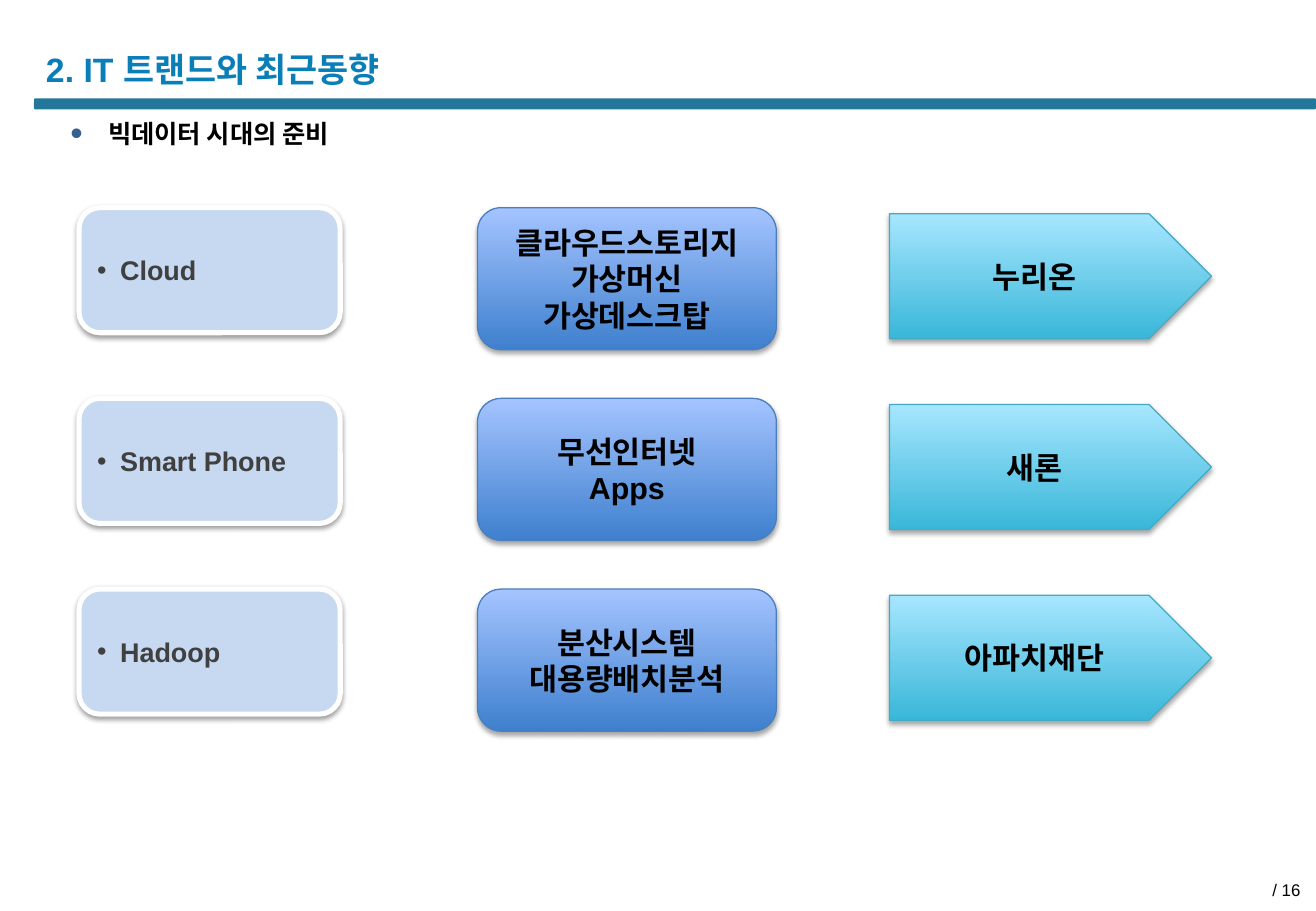
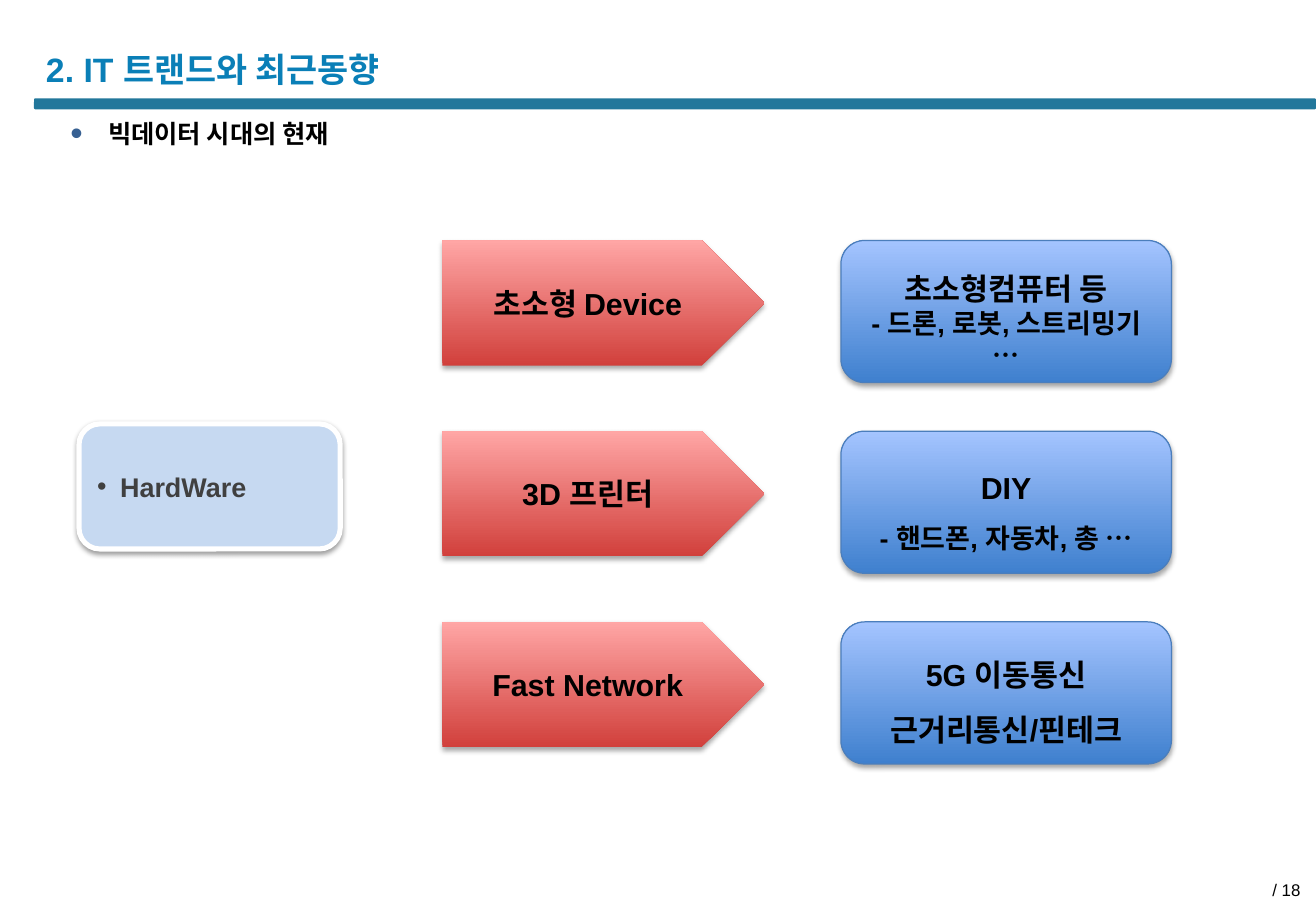
from dataclasses import dataclass

from lxml import etree
from pptx import Presentation
from pptx import util as u
from pptx.dml.color import RGBColor
from pptx.enum import shapes, text
from pptx.oxml.ns import qn


# Colours and type sizes
@dataclass(frozen=True)
class Theme:
    font: str = "Arial"
    title: str = "0A7FB7"
    bar: str = "22779B"
    bullet: str = "376092"
    ink: str = "000000"
    label: str = "404040"
    title_size: int = 20
    topic_size: int = 15
    body_size: int = 18
    small_size: int = 16
    footer_size: int = 10


THEME = Theme()
ROUND = shapes.MSO_SHAPE.ROUNDED_RECTANGLE
ARROW = shapes.MSO_SHAPE.PENTAGON
CENTER, LEFT, RIGHT = text.PP_ALIGN.CENTER, text.PP_ALIGN.LEFT, text.PP_ALIGN.RIGHT

# Box styles: fill is one colour or (bottom, top); shadow is (opacity %, distance pt)
STYLES = {
    "label": dict(shape=ROUND, fill=("C6D9F1",), line=("FFFFFF", 3), shadow=(38, 1.6)),
    "blue": dict(shape=ROUND, fill=("3F80CE", "A4C4FF"), line=("4B7EBC", 0.75), shadow=(35, 1.8)),
    "cyan": dict(shape=ARROW, fill=("39B7D8", "A7E6FF"), line=("46AAC5", 0.75), shadow=(35, 1.8)),
    "red": dict(shape=ARROW, fill=("D1403C", "FFA6A5"), line=None, shadow=(35, 1.8)),
}

# Content: a line is (text, size, line spacing)
WIDTH, HEIGHT = 10.83, 7.5
ROW_PITCH = 1.57
TITLE = "2. IT 트랜드와 최근동향"


def lines(*words, size=THEME.body_size, spacing=1):
    return [(word, size, spacing) for word in words]


def label(word):
    return lines(word, size=THEME.small_size)


# Each column: style, left, drop below the row top, width, height, {row: lines}
SLIDES = [
    dict(topic="빅데이터 시대의 준비", footer="/ 16", top=1.71, columns=[
        ("blue", 3.93, 0, 2.46, 1.17, {
            0: lines("클라우드스토리지", "가상머신", "가상데스크탑"),
            1: lines("무선인터넷", "Apps"),
            2: lines("분산시스템", "대용량배치분석")}),
        ("cyan", 7.32, 0.05, 2.65, 1.03, {
            0: lines("누리온"), 1: lines("새론"), 2: lines("아파치재단")}),
        ("label", 0.65, 0, 2.15, 1.03, {
            0: label("Cloud"), 1: label("Smart Phone"), 2: label("Hadoop")}),
    ]),
    dict(topic="빅데이터 시대의 현재", footer="/ 18", top=1.98, columns=[
        ("blue", 6.92, 0, 2.72, 1.17, {
            0: lines("초소형컴퓨터 등", spacing=1.5)
               + lines("- 드론, 로봇, 스트리밍기 …", size=THEME.small_size),
            1: lines("DIY", spacing=1.5)
               + lines("- 핸드폰, 자동차, 총 …", size=THEME.small_size, spacing=1.5),
            2: lines("5G 이동통신", "근거리통신/핀테크", spacing=1.5)}),
        ("red", 3.64, 0, 2.65, 1.03, {
            0: lines("초소형 Device"), 1: lines("3D 프린터"), 2: lines("Fast Network")}),
        ("label", 0.65, -0.06, 2.15, 1.03, {1: label("HardWare")}),
    ]),
]


def rgb(value):
    return RGBColor.from_string(value)


def inches(*values):
    return [u.Inches(value) for value in values]


def add_bullet(para, indent, colour=None, percent=100):
    props = para._p.get_or_add_pPr()
    props.set("marL", str(u.Inches(indent)))
    props.set("indent", str(-u.Inches(indent)))
    if colour:
        etree.SubElement(etree.SubElement(props, qn("a:buClr")), qn("a:srgbClr"), val=colour)
    etree.SubElement(props, qn("a:buSzPct"), val=str(percent * 1000))
    etree.SubElement(props, qn("a:buFont"), typeface=THEME.font)
    etree.SubElement(props, qn("a:buChar"), char="•")


def write(frame, content, colour, align=LEFT, bold=True, bullet=None):
    frame.word_wrap = True
    for index, (words, size, spacing) in enumerate(content):
        para = frame.add_paragraph() if index else frame.paragraphs[0]
        para.text = words
        para.alignment = align
        if spacing != 1:
            para.line_spacing = spacing
        if bullet:
            add_bullet(para, **bullet)
        for span in para.runs:
            span.font.name = THEME.font
            span.font.size = u.Pt(size)
            span.font.bold = bold
            span.font.color.rgb = rgb(colour)


def add_text(page, at, words, size, colour, anchor=text.MSO_ANCHOR.TOP, inset=True, **options):
    frame = page.shapes.add_textbox(*inches(*at)).text_frame
    frame.vertical_anchor = anchor
    if not inset:
        frame.margin_left = frame.margin_right = frame.margin_top = frame.margin_bottom = 0
    write(frame, [(words, size, 1)], colour, **options)


def add_shadow(box, opacity, distance):
    effects = box._element.spPr.find(qn("a:effectLst"))
    shadow = etree.SubElement(effects, qn("a:outerShdw"), blurRad=str(u.Pt(3.1)),
                              dist=str(u.Pt(distance)), dir="5400000", rotWithShape="0")
    tone = etree.SubElement(shadow, qn("a:srgbClr"), val=THEME.ink)
    etree.SubElement(tone, qn("a:alpha"), val=str(opacity * 1000))


def add_shape(page, at, shape, fill, line=None, shadow=None):
    box = page.shapes.add_shape(shape, *inches(*at))
    box.shadow.inherit = False
    if len(fill) == 1:
        box.fill.solid()
        box.fill.fore_color.rgb = rgb(fill[0])
    else:
        box.fill.gradient()
        box.fill.gradient_angle = 90
        for stop, colour in zip(box.fill.gradient_stops, fill):
            stop.color.rgb = rgb(colour)
    if line:
        box.line.color.rgb = rgb(line[0])
        box.line.width = u.Pt(line[1])
    else:
        box.line.fill.background()
    if shadow:
        add_shadow(box, *shadow)
    return box


def add_card(page, at, style, content):
    frame = add_shape(page, at, **STYLES[style]).text_frame
    frame.margin_top = frame.margin_bottom = 0
    frame.vertical_anchor = text.MSO_ANCHOR.MIDDLE
    if style == "label":
        write(frame, content, THEME.label, bullet=dict(indent=0.19))
    else:
        write(frame, content, THEME.ink, CENTER)


def add_frame(page, topic, footer):
    """Title bar, topic line and page number shared by all slides."""
    bar = add_shape(page, (0.28, 0.81, WIDTH - 0.28, 0.09), ROUND, (THEME.bar,))
    bar.adjustments[0] = 0.13
    add_text(page, (0.58, 0.97, 7.13, 0.25), topic, THEME.topic_size, THEME.ink, inset=False,
             bullet=dict(indent=0.31, colour=THEME.bullet, percent=140))
    add_text(page, (0.28, 0.33, 4.89, 0.47), TITLE, THEME.title_size, THEME.title,
             anchor=text.MSO_ANCHOR.MIDDLE)
    add_text(page, (8.27, 7.19, 2.53, 0.23), footer, THEME.footer_size, THEME.ink,
             align=RIGHT, bold=False)


def main():
    deck = Presentation()
    deck.slide_width, deck.slide_height = inches(WIDTH, HEIGHT)
    for content in SLIDES:
        page = deck.slides.add_slide(deck.slide_layouts[6])
        add_frame(page, content["topic"], content["footer"])
        for style, left, drop, width, height, cards in content["columns"]:
            for row, card in cards.items():
                top = content["top"] + drop + row * ROW_PITCH
                add_card(page, (left, top, width, height), style, card)
    deck.save("out.pptx")


if __name__ == "__main__":
    main()
